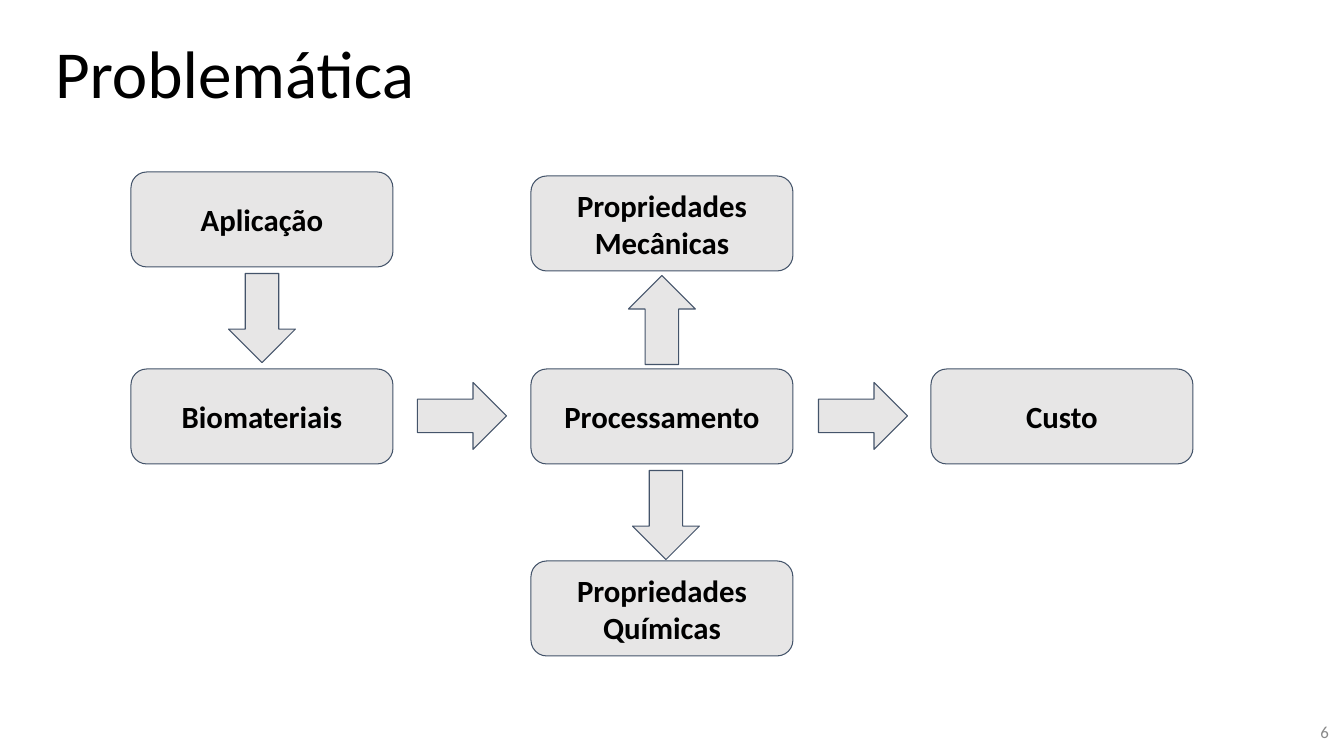
from dataclasses import dataclass

from pptx import Presentation, util as u
from pptx.dml.color import RGBColor
from pptx.enum import shapes, text

SCALE = 914400 / 100.8


def emu(*sizes):
    """Turn px lengths into EMU."""
    return [u.Emu(round(size * SCALE)) for size in sizes]


@dataclass(frozen=True)
class Theme:
    """Colours, font and type sizes."""
    font: str = "Calibri"
    ink: str = "000000"
    fill: str = "E7E6E6"
    edge: str = "44546A"
    muted: str = "888888"
    head: int = 48
    body: int = 22
    note: int = 12


class Deck:
    """Draws styled elements on the current slide."""

    def __init__(self, theme, slide):
        """Keep the theme and the slide."""
        self.theme, self.slide = theme, slide

    def letter(self, shape, words, size, color, align, bold=False, pad=5):
        """Put one formatted run into a shape."""
        frame = shape.text_frame
        frame.word_wrap = True
        frame.auto_size = text.MSO_AUTO_SIZE.NONE
        frame.vertical_anchor = text.MSO_ANCHOR.MIDDLE
        frame.margin_left, frame.margin_right = emu(10, 10)
        frame.margin_top, frame.margin_bottom = emu(pad, pad)
        para = frame.paragraphs[0]
        para.alignment, para.line_spacing = align, 1.0
        run = para.add_run()
        run.text = words
        font = run.font
        font.name, font.size, font.bold = self.theme.font, u.Pt(size), bold
        font.color.rgb = RGBColor.from_string(color)

    def title(self, words, *box):
        """Place and fill the title."""
        shape = self.slide.shapes.title
        shape.left, shape.top, shape.width, shape.height = emu(*box)
        self.letter(shape, words, self.theme.head, self.theme.ink,
                    text.PP_ALIGN.LEFT)
        shape.text_frame.vertical_anchor = text.MSO_ANCHOR.TOP

    def label(self, words, *box):
        """Add a small right-aligned label."""
        shape = self.slide.shapes.add_textbox(*emu(*box))
        self.letter(shape, words, self.theme.note, self.theme.muted,
                    text.PP_ALIGN.RIGHT)

    def shape(self, kind, *box):
        """Add a filled and outlined shape."""
        shape = self.slide.shapes.add_shape(kind, *emu(*box))
        shape.shadow.inherit = False
        shape.fill.solid()
        shape.fill.fore_color.rgb = RGBColor.from_string(self.theme.fill)
        shape.line.color.rgb = RGBColor.from_string(self.theme.edge)
        shape.line.width = u.Pt(0.75)
        return shape

    def box(self, words, *area):
        """Add a rounded box with bold text."""
        shape = self.shape(shapes.MSO_SHAPE.ROUNDED_RECTANGLE, *area)
        self.letter(shape, words, self.theme.body, self.theme.ink,
                    text.PP_ALIGN.CENTER, bold=True, pad=10)

    def arrow(self, x, y, turn, wide=89, high=67):
        """Add a block arrow centred on a point."""
        shape = self.shape(shapes.MSO_SHAPE.RIGHT_ARROW,
                           x - wide / 2, y - high / 2, wide, high)
        shape.rotation = turn


def main():
    """Build and save the slide."""
    show = Presentation()
    show.slide_width, show.slide_height = emu(1344, 756)
    deck = Deck(Theme(), show.slides.add_slide(show.slide_layouts[5]))

    deck.title("Problemática", 45, 26, 881, 92)
    deck.label("6", 1037, 712, 302, 40)

    left, mid, right = (131 + 400 * col for col in range(3))
    for words, x, y in (
        ("Aplicação", left, 172),
        ("Biomateriais", left, 369),
        ("Processamento", mid, 369),
        ("Propriedades Mecânicas", mid, 176),
        ("Custo", right, 369),
        ("Propriedades Químicas", mid, 561),
    ):
        deck.box(words, x, y, 262, 95)

    for x, y, turn in (
        (262, 318, 90),
        (462, 416, 0),
        (863, 416, 0),
        (662, 320, 270),
        (666, 515, 90),
    ):
        deck.arrow(x, y, turn)

    show.save("out.pptx")


if __name__ == "__main__":
    main()
